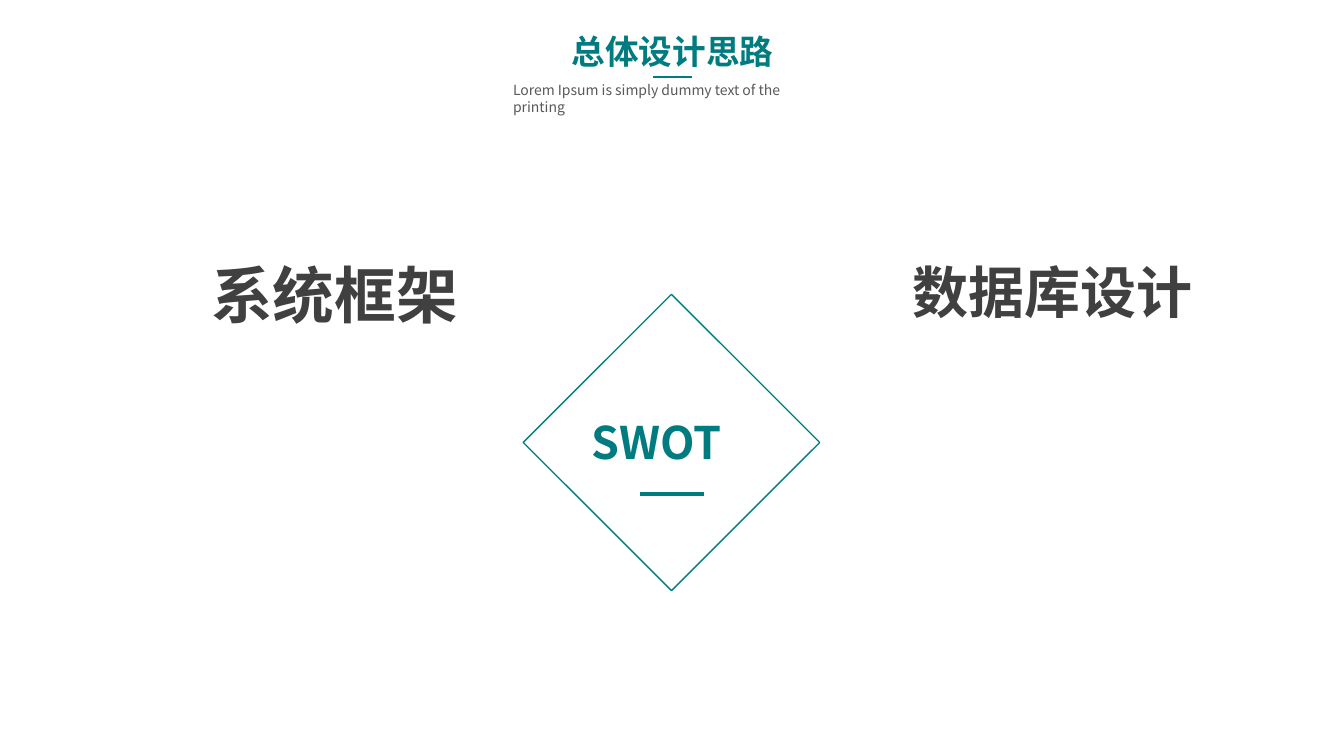
from lxml import etree
from pptx import Presentation
from pptx.dml.color import RGBColor
from pptx.enum.shapes import MSO_CONNECTOR, MSO_SHAPE
from pptx.enum.text import MSO_ANCHOR, MSO_AUTO_SIZE, PP_ALIGN
from pptx.oxml.ns import qn
from pptx.util import Inches, Pt

TEAL = RGBColor(0x00, 0x7B, 0x80)
DARK = RGBColor(0x40, 0x40, 0x40)
GRAY = RGBColor(0x59, 0x59, 0x59)
FONT = "Noto Sans CJK SC"
LEFT, RIGHT = PP_ALIGN.LEFT, PP_ALIGN.RIGHT
CENTER, JUSTIFY = PP_ALIGN.CENTER, PP_ALIGN.JUSTIFY
TOP, GROW = MSO_ANCHOR.TOP, MSO_AUTO_SIZE.SHAPE_TO_FIT_TEXT
RECT, STRAIGHT = MSO_SHAPE.RECTANGLE, MSO_CONNECTOR.STRAIGHT


def assign(target, values):
    """Set each attribute in values on the target."""
    for name, value in values.items():
        setattr(target, name, value)


def write(shape, text, size, color, align=LEFT, bold=True):
    """Fill a shape with one formatted line of text."""
    frame = shape.text_frame
    assign(frame, {"word_wrap": True, "auto_size": GROW, "vertical_anchor": TOP})
    para = frame.paragraphs[0]
    para.alignment = align
    run = para.add_run()
    run.text = text
    assign(run.font, {"size": Pt(size), "bold": bold, "name": FONT})
    run.font.color.rgb = color
    east = etree.SubElement(run.font._element, qn("a:ea"))
    east.set("typeface", FONT)


def label(slide, box, *style):
    """Add a text box at the given box."""
    shape = slide.shapes.add_textbox(*map(Inches, box))
    write(shape, *style)


def rule(slide, left, top, width, weight):
    """Add a flat teal line without a shadow."""
    ends = map(Inches, (left, top, left + width, top))
    line = slide.shapes.add_connector(STRAIGHT, *ends)
    line.line.color.rgb = TEAL
    line.line.width = Pt(weight)
    etree.SubElement(line._element.spPr, qn("a:effectLst"))


def header(slide, left, top, width, height):
    """Place the title, its rule and the subtitle in the box."""
    title = slide.shapes.title
    names = ("left", "top", "width", "height")
    assign(title, dict(zip(names, map(Inches, (left, top, width, height)))))
    write(title, "总体设计思路", 24, TEAL, CENTER)
    middle, base = left + width / 2, top + height
    label(slide, (middle - 1.68, base, 3.36, 0.27),
          "Lorem Ipsum is simply dummy text of the printing", 10, GRAY, LEFT, False)
    rule(slide, middle - 0.19, base, 0.38, 1.5)


def diamond(slide, left, top, side):
    """Place the turned square with its word and rule."""
    square = slide.shapes.add_shape(RECT, *map(Inches, (left, top, side, side)))
    square.rotation = 45
    square.shadow.inherit = False
    square.fill.background()
    square.line.color.rgb = TEAL
    square.line.width = Pt(1)
    middle = left + side / 2
    label(slide, (middle - 0.89, top + 0.72, 1.78, 0.64), "SWOT", 32, TEAL, JUSTIFY)
    rule(slide, middle - 0.31, top + 1.55, 0.63, 3)


def main():
    """Build and save the slide."""
    deck = Presentation()
    assign(deck, {"slide_width": Inches(13.33), "slide_height": Inches(7.5)})
    slide = deck.slides.add_slide(deck.slide_layouts[5])
    diamond(slide, 5.62, 3.35, 2.08)
    label(slide, (1.63, 2.5, 3.01, 0.84), "系统框架", 44, DARK, RIGHT)
    label(slide, (8.95, 2.51, 3.01, 0.77), "数据库设计", 40, DARK)
    header(slide, 4.31, 0.26, 4.72, 0.5)
    deck.save("out.pptx")


if __name__ == "__main__":
    main()
